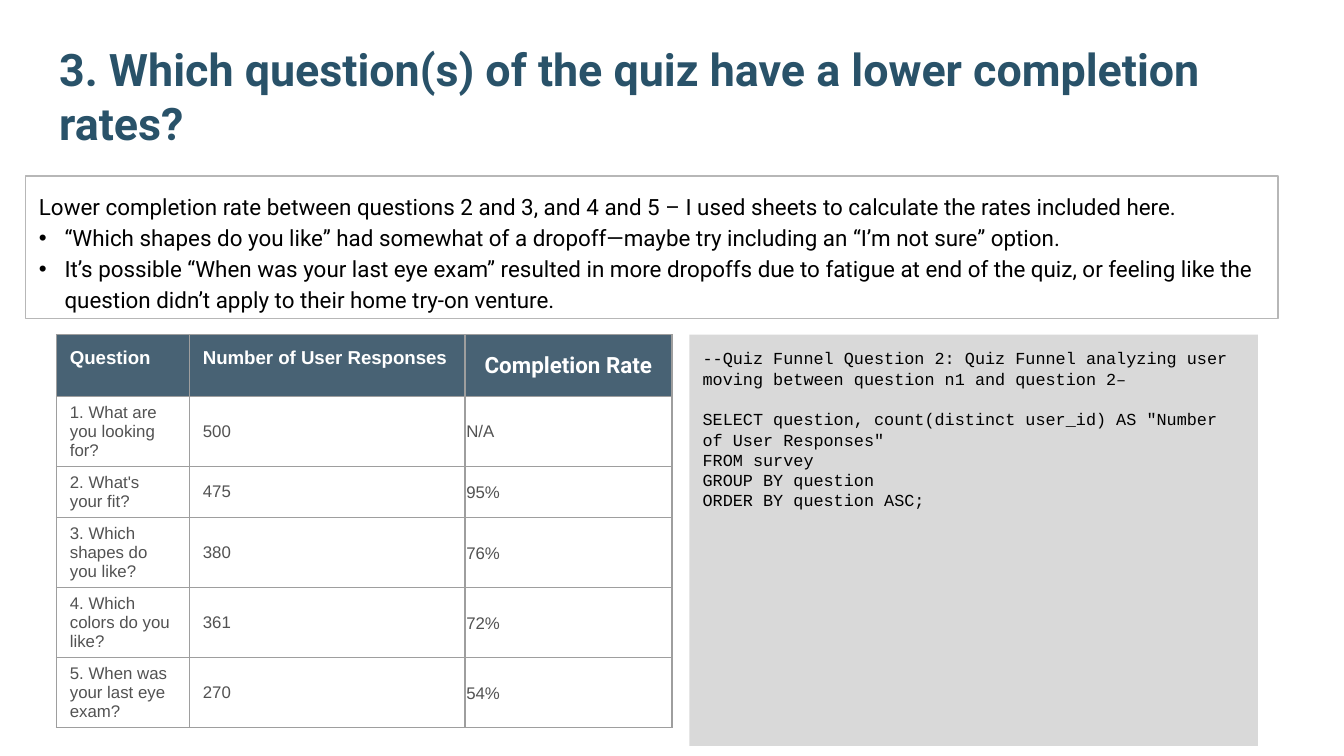
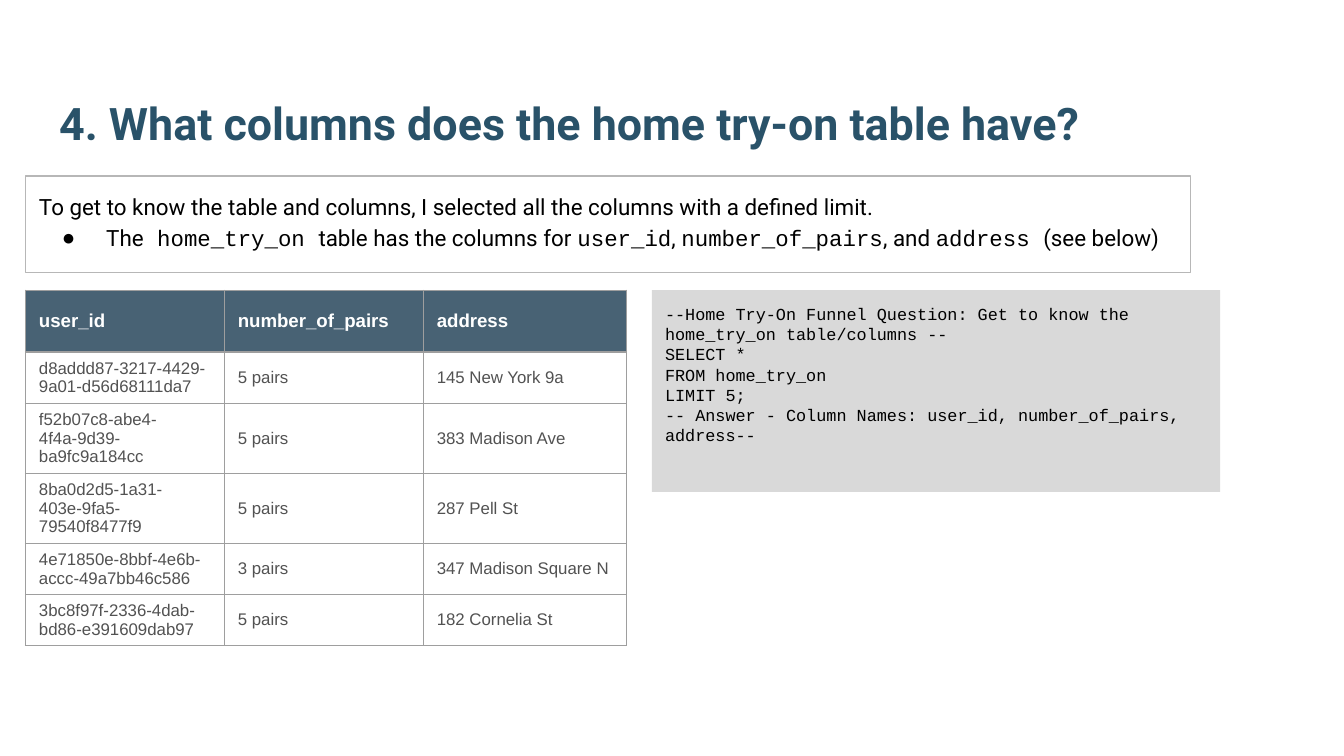
from dataclasses import dataclass

from lxml import etree
from pptx import Presentation
from pptx.dml.color import RGBColor
from pptx.enum.shapes import MSO_SHAPE
from pptx.enum.text import MSO_ANCHOR, MSO_AUTO_SIZE, PP_ALIGN
from pptx.oxml.ns import qn
from pptx.util import Inches, Pt

RECTANGLE = MSO_SHAPE.RECTANGLE
TOP, MIDDLE, BOTTOM = MSO_ANCHOR.TOP, MSO_ANCHOR.MIDDLE, MSO_ANCHOR.BOTTOM
LEFT, CENTER = PP_ALIGN.LEFT, PP_ALIGN.CENTER
NO_AUTOFIT = MSO_AUTO_SIZE.NONE
TITLE_AND_CONTENT = 1


@dataclass(frozen=True)
class Theme:
    title: str = "295269"
    ink: str = "000000"
    cell_ink: str = "525252"
    header_ink: str = "FFFFFF"
    header_fill: str = "204056"
    header_opacity: int = 82
    code_fill: str = "D9D9D9"
    answer_line: str = "B7B7B7"
    grid: str = "9E9E9E"
    prose_font: str = "Roboto"
    code_font: str = "Courier New"
    table_font: str = "Arial"
    title_size: int = 24
    answer_size: int = 12
    header_size: int = 10
    small_size: int = 9
    line_width: float = 0.75
    code_gap: int = 11
    answer_spacing: float = 1.15


THEME = Theme()
SLIDE_WIDTH = Inches(10)
SLIDE_HEIGHT = SLIDE_WIDTH * 9 // 16
TITLE_BOX = (0.34, 0.29, 9.32, 0.92)
HEADER_HEIGHT, ROW_HEIGHT = 0.46, 0.37
INSET = 0.1
TIGHT_INSETS = (0.01, 0.01, 0.01, 0)

# Runs of an answer paragraph alternate between prose and code.
# Code is a list of blocks with a gap between them.
QUESTIONS = [
    {
        "title": "3. Which question(s) of the quiz have a lower completion rates?",
        "answer": [
            ("Lower completion rate between questions 2 and 3, and 4 and 5 – "
             "I used sheets to calculate the rates included here.",),
            ("“Which shapes do you like” had somewhat of a dropoff—maybe try "
             "including an “I’m not sure” option.",),
            ("It’s possible “When was your last eye exam” resulted in more "
             "dropoffs due to fatigue at end of the quiz, or feeling like the "
             "question didn’t apply to their home try-on venture.",),
        ],
        "answer_box": (0.19, 1.31, 9.32, 1.06),
        "bullet": ("•", 0.19, -0.19),
        "code": [
            ["--Quiz Funnel Question 2: Quiz Funnel analyzing user moving "
             "between question n1 and question 2–"],
            ['SELECT question, count(distinct user_id) AS "Number of User Responses"',
             "FROM survey",
             "GROUP BY question",
             "ORDER BY question ASC;"],
        ],
        "code_box": (5.13, 2.49, 4.23, 3.06),
        "header": ["Question", "Number of User Responses", "Completion Rate"],
        "rows": [
            ["1. What are you looking for?", "500", "N/A"],
            ["2. What's your fit?", "475", "95%"],
            ["3. Which shapes do you like?", "380", "76%"],
            ["4. Which colors do you like?", "361", "72%"],
            ["5. When was your last eye exam?", "270", "54%"],
        ],
        "table_at": (0.42, 2.49),
        "columns": [0.99, 2.05, 1.54],
        "header_anchor": TOP,
        "tight_column": 2,
    },
    {
        "title": "4. What columns does the home try-on table have?",
        "answer": [
            ("To get to know the table and columns, I selected all the columns "
             "with a defined limit.",),
            ("The", " home_try_on ", "table has the columns for ", "user_id", ", ",
             "number_of_pairs", ", and ", "address ", "(see below)"),
        ],
        "answer_box": (0.19, 1.31, 8.67, 0.72),
        "bullet": ("●", 0.5, -0.33),
        "code": [
            ["--Home Try-On Funnel Question: Get to know the home_try_on "
             "table/columns --",
             "SELECT *",
             "FROM home_try_on",
             "LIMIT 5;",
             "-- Answer - Column Names: user_id, number_of_pairs, address--"],
        ],
        "code_box": (4.85, 2.16, 4.23, 1.5),
        "header": ["user_id", "number_of_pairs", "address"],
        "rows": [
            ["d8addd87-3217-4429-9a01-d56d68111da7", "5 pairs", "145 New York 9a"],
            ["f52b07c8-abe4-4f4a-9d39-ba9fc9a184cc", "5 pairs", "383 Madison Ave"],
            ["8ba0d2d5-1a31-403e-9fa5-79540f8477f9", "5 pairs", "287 Pell St"],
            ["4e71850e-8bbf-4e6b-accc-49a7bb46c586", "3 pairs", "347 Madison Square N"],
            ["3bc8f97f-2336-4dab-bd86-e391609dab97", "5 pairs", "182 Cornelia St"],
        ],
        "table_at": (0.19, 2.16),
        "columns": [1.48, 1.48, 1.51],
        "header_anchor": MIDDLE,
        "tight_column": None,
    },
]


def set_attributes(target, values):
    for attribute, value in values.items():
        setattr(target, attribute, value)


def place(shape, box):
    sides = ("left", "top", "width", "height")
    set_attributes(shape, {side: Inches(n) for side, n in zip(sides, box)})


def set_insets(holder, insets):
    sides = ("margin_left", "margin_top", "margin_right", "margin_bottom")
    set_attributes(holder, {side: Inches(n) for side, n in zip(sides, insets)})


def prepare_frame(shape, anchor):
    frame = shape.text_frame
    set_attributes(frame, {"word_wrap": True, "auto_size": NO_AUTOFIT,
                           "vertical_anchor": anchor})
    set_insets(frame, [INSET] * 4)
    return frame


def next_paragraph(frame, index):
    return frame.add_paragraph() if index else frame.paragraphs[0]


def write_run(paragraph, text, font, size, color, bold=False):
    run = paragraph.add_run()
    run.text = text
    set_attributes(run.font, {"name": font, "size": Pt(size), "bold": bold})
    run.font.color.rgb = RGBColor.from_string(color)


def set_bullet(paragraph, bullet):
    """Give the paragraph a (symbol, margin, indent) bullet, or none."""
    symbol, margin, indent = bullet or (None, 0, 0)
    properties = paragraph._p.get_or_add_pPr()
    properties.set("marL", str(Inches(margin)))
    properties.set("indent", str(Inches(indent)))
    if symbol is None:
        etree.SubElement(properties, qn("a:buNone"))
        return
    color = etree.SubElement(properties, qn("a:buClr"))
    etree.SubElement(color, qn("a:srgbClr"), val=THEME.ink)
    etree.SubElement(properties, qn("a:buFont"), typeface=THEME.table_font)
    etree.SubElement(properties, qn("a:buChar"), char=symbol)


def add_title(slide, text):
    title = slide.shapes.title
    place(title, TITLE_BOX)
    paragraph = prepare_frame(title, BOTTOM).paragraphs[0]
    paragraph.alignment = LEFT
    write_run(paragraph, text, THEME.prose_font, THEME.title_size, THEME.title, True)


def add_answer(slide, question):
    answer = slide.placeholders[1]
    place(answer, question["answer_box"])
    answer.line.color.rgb = RGBColor.from_string(THEME.answer_line)
    answer.line.width = Pt(THEME.line_width)
    frame = prepare_frame(answer, TOP)
    for index, runs in enumerate(question["answer"]):
        paragraph = next_paragraph(frame, index)
        set_bullet(paragraph, question["bullet"] if index else None)
        set_attributes(paragraph, {"line_spacing": THEME.answer_spacing,
                                   "space_before": Pt(0), "alignment": LEFT})
        for position, text in enumerate(runs):
            font = THEME.code_font if position % 2 else THEME.prose_font
            write_run(paragraph, text, font, THEME.answer_size, THEME.ink)


def add_code(slide, question):
    panel = slide.shapes.add_shape(
        RECTANGLE, *map(Inches, question["code_box"]))
    panel.shadow.inherit = False
    panel.fill.solid()
    panel.fill.fore_color.rgb = RGBColor.from_string(THEME.code_fill)
    panel.line.fill.background()
    frame = prepare_frame(panel, TOP)
    lines = [(line, block > 0 and row == 0)
             for block, code in enumerate(question["code"])
             for row, line in enumerate(code)]
    for index, (line, starts_block) in enumerate(lines):
        paragraph = next_paragraph(frame, index)
        paragraph.alignment = LEFT
        if starts_block:
            paragraph.space_before = Pt(THEME.code_gap)
        write_run(paragraph, line, THEME.code_font, THEME.small_size, THEME.ink)


def paint_cell(cell, is_header):
    if is_header:
        cell.fill.solid()
        cell.fill.fore_color.rgb = RGBColor.from_string(THEME.header_fill)
    else:
        cell.fill.background()
    properties = cell._tc.get_or_add_tcPr()
    if is_header:
        color = properties.find(".//" + qn("a:srgbClr"))
        etree.SubElement(color, qn("a:alpha"), val=str(THEME.header_opacity * 1000))
    for index, side in enumerate(("lnL", "lnR", "lnT", "lnB")):
        border = etree.Element(qn("a:" + side), w=str(Pt(THEME.line_width)))
        fill = etree.SubElement(border, qn("a:solidFill"))
        etree.SubElement(fill, qn("a:srgbClr"), val=THEME.grid)
        properties.insert(index, border)


def write_cell(cell, text, question, is_header, is_tight):
    cell.vertical_anchor = MIDDLE
    font, size = THEME.table_font, THEME.small_size
    color = THEME.header_ink if is_header else THEME.cell_ink
    paragraph = cell.text_frame.paragraphs[0]
    if is_tight:
        set_insets(cell, TIGHT_INSETS)
    if is_header and is_tight:
        paragraph.alignment = CENTER
        font, size = THEME.prose_font, THEME.answer_size
    elif is_header:
        size = THEME.header_size
        cell.vertical_anchor = question["header_anchor"]
        if question["header_anchor"] == TOP:
            set_insets(cell, [INSET] * 4)
    write_run(paragraph, text, font, size, color, is_header)
    paint_cell(cell, is_header)


def add_results(slide, question):
    rows = [question["header"], *question["rows"]]
    heights = [HEADER_HEIGHT] + [ROW_HEIGHT] * len(question["rows"])
    widths = question["columns"]
    box = (*question["table_at"], sum(widths), sum(heights))
    table = slide.shapes.add_table(
        len(rows), len(widths), *map(Inches, box)).table
    table.horz_banding = False
    for column, width in zip(table.columns, widths):
        column.width = Inches(width)
    for row, height in zip(table.rows, heights):
        row.height = Inches(height)
    for r, texts in enumerate(rows):
        for c, text in enumerate(texts):
            write_cell(table.cell(r, c), text, question,
                       r == 0, c == question["tight_column"])


def main():
    deck = Presentation()
    deck.slide_width, deck.slide_height = SLIDE_WIDTH, SLIDE_HEIGHT
    for question in QUESTIONS:
        slide = deck.slides.add_slide(deck.slide_layouts[TITLE_AND_CONTENT])
        add_title(slide, question["title"])
        add_code(slide, question)
        add_answer(slide, question)
        add_results(slide, question)
    deck.save("out.pptx")


if __name__ == "__main__":
    main()
